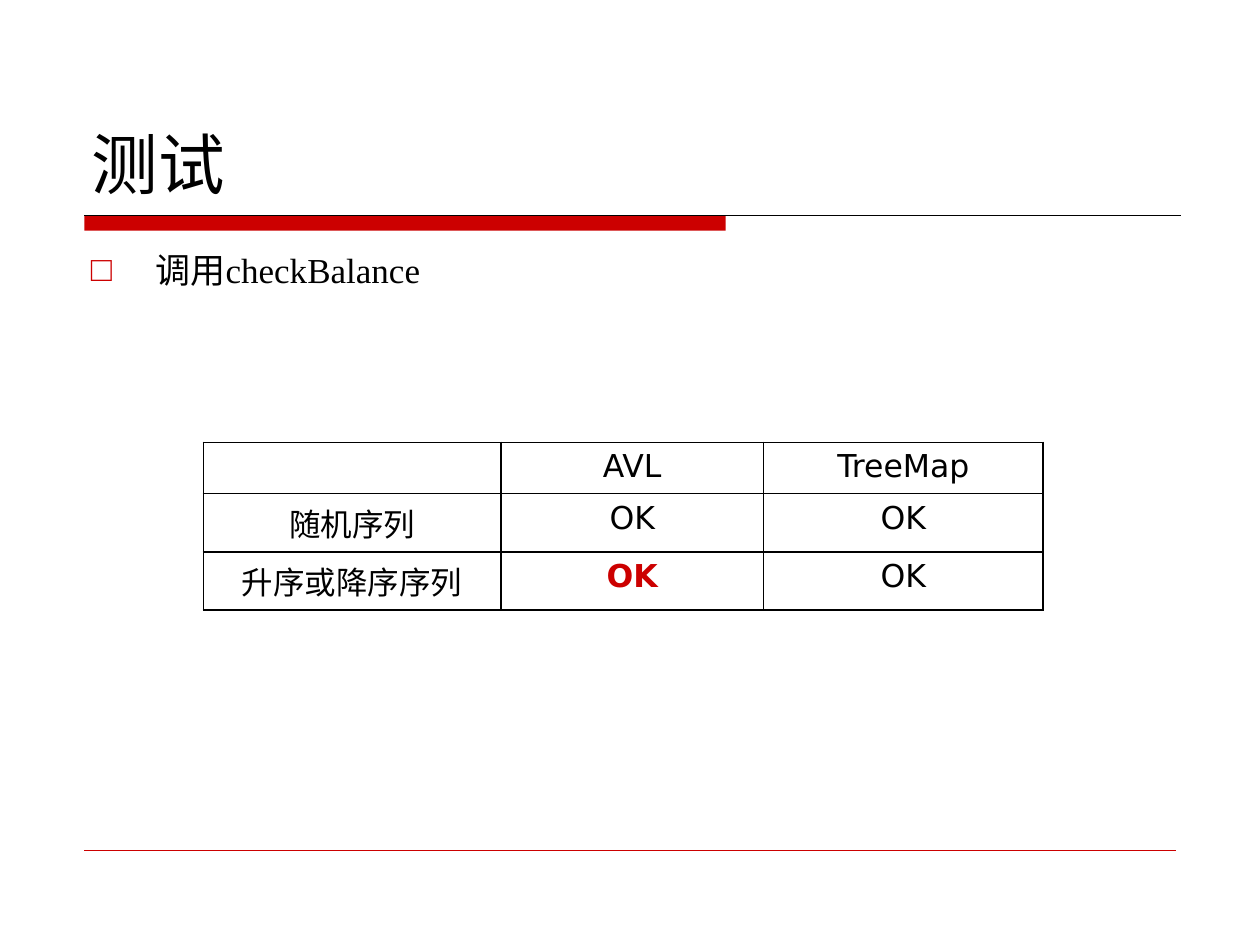
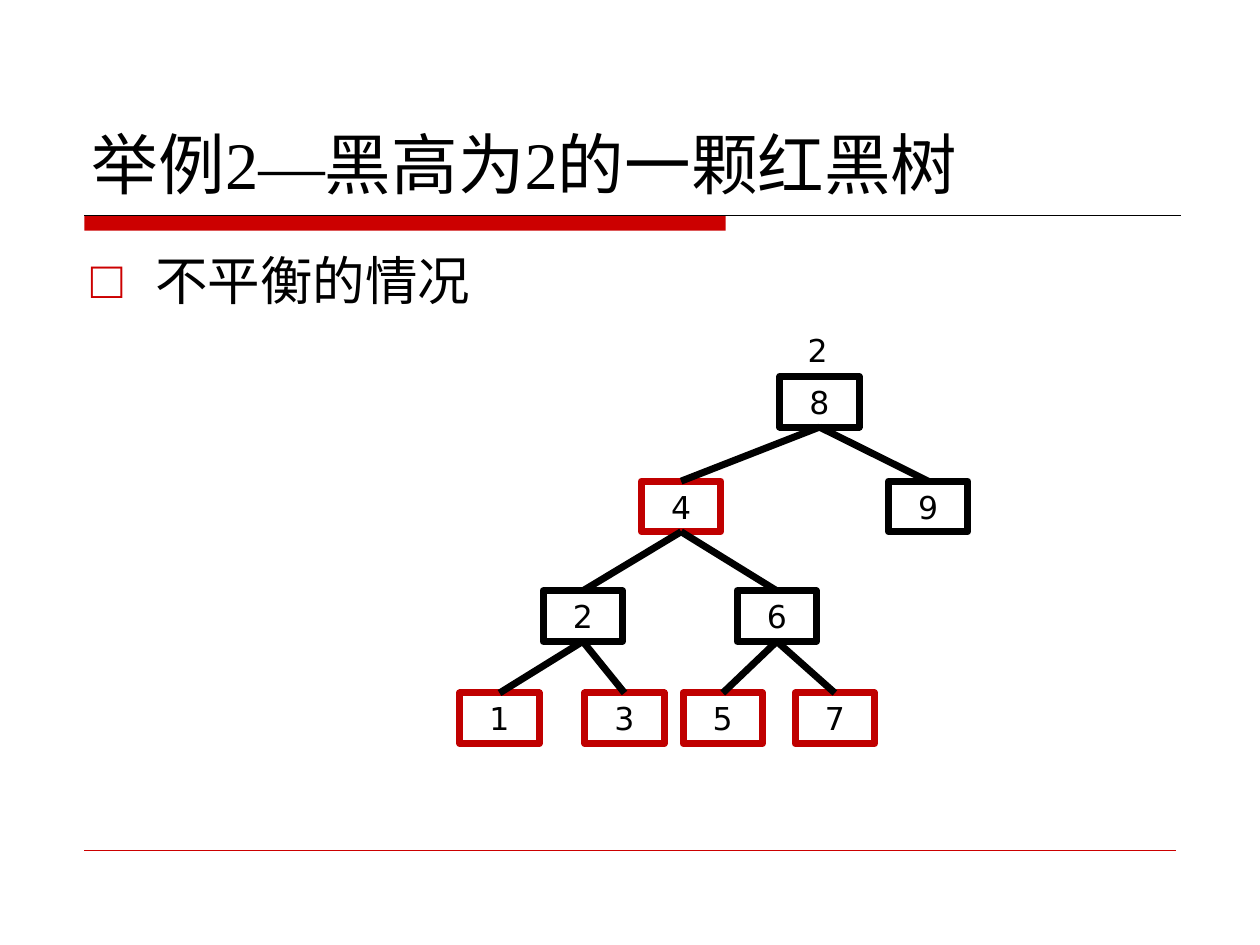
from lxml import etree
from pptx import Presentation
from pptx.dml.color import RGBColor
from pptx.enum.shapes import MSO_CONNECTOR, MSO_SHAPE
from pptx.enum.text import MSO_ANCHOR, PP_ALIGN
from pptx.oxml.ns import qn
from pptx.util import Cm, Pt

RED = RGBColor(0xCC, 0x00, 0x00)
NODE_RED = RGBColor(0xC0, 0x00, 0x00)
BLACK = RGBColor(0x00, 0x00, 0x00)
WHITE = RGBColor(0xFF, 0xFF, 0xFF)
SERIF = "Times New Roman"
SANS = "DejaVu Sans"
STRAIGHT = MSO_CONNECTOR.STRAIGHT
RECTANGLE = MSO_SHAPE.RECTANGLE
LEFT, CENTER = PP_ALIGN.LEFT, PP_ALIGN.CENTER
MIDDLE, BOTTOM = MSO_ANCHOR.MIDDLE, MSO_ANCHOR.BOTTOM
BOTTOM_SITE, TOP_SITE = 2, 0
MARGIN = 1.7
NODE_W, NODE_H = 1.6, 1.02


class Deck:
    def __init__(self):
        self.prs = Presentation()
        self.prs.slide_width = Cm(25.4)
        self.prs.slide_height = Cm(19.05)
        self.s = None

    def place(self, shape, x, y, w, h):
        shape.left, shape.top, shape.width, shape.height = Cm(x), Cm(y), Cm(w), Cm(h)

    def add_text(self, tf, text, size, font, align=LEFT, color=BLACK, bold=False):
        p = tf.paragraphs[0]
        p.alignment = align
        r = p.add_run()
        r.text = text
        r.font.size = Pt(size)
        r.font.name = font
        r.font.color.rgb = color
        r.font.bold = bold
        return p

    def line(self, x1, y1, x2, y2, color, width):
        connector = self.s.shapes.add_connector(STRAIGHT, Cm(x1), Cm(y1), Cm(x2), Cm(y2))
        connector.line.color.rgb = color
        connector.line.width = Pt(width)
        etree.SubElement(connector._element.spPr, qn("a:effectLst"))
        return connector

    def slide(self, title, bullet, bullet_size):
        self.s = self.prs.slides.add_slide(self.prs.slide_layouts[1])
        background = self.s.background.fill
        background.solid()
        background.fore_color.rgb = WHITE
        self.bands()
        self.title(title)
        self.bullet(bullet, bullet_size)

    def bands(self):
        bar = self.s.shapes.add_shape(RECTANGLE, Cm(MARGIN), Cm(4.34), Cm(12.93), Cm(0.31))
        bar.shadow.inherit = False
        bar.fill.solid()
        bar.fill.fore_color.rgb = RED
        bar.line.fill.background()
        self.line(MARGIN, 4.34, 23.8, 4.34, BLACK, 0.75)
        self.line(MARGIN, 17.14, 23.7, 17.14, RED, 0.25)

    def title(self, text):
        title = self.s.shapes.title
        self.place(title, 1.6, 0.84, 22.22, 3.38)
        title.text_frame.vertical_anchor = BOTTOM
        self.add_text(title.text_frame, text, 38, SERIF)

    def bullet(self, text, size):
        body = self.s.placeholders[1]
        self.place(body, 1.58, 4.88, 22.22, 11.86)
        pPr = self.add_text(body.text_frame, text, size, SERIF)._p.get_or_add_pPr()
        pPr.set("marL", str(Cm(1.3)))
        pPr.set("indent", str(-Cm(1.3)))
        color = etree.SubElement(pPr, qn("a:buClr"))
        etree.SubElement(color, qn("a:srgbClr"), val=str(RED))
        etree.SubElement(pPr, qn("a:buChar"), char="□")

    def border(self, cell):
        tcPr = cell._tc.get_or_add_tcPr()
        for i, side in enumerate(("lnL", "lnR", "lnT", "lnB")):
            ln = etree.Element(qn(f"a:{side}"), w=str(Pt(1)))
            fill = etree.SubElement(ln, qn("a:solidFill"))
            etree.SubElement(fill, qn("a:srgbClr"), val=str(BLACK))
            tcPr.insert(i, ln)

    def table(self, x, y, widths, heights, rows, highlight):
        frame = self.s.shapes.add_table(len(rows), len(widths), Cm(x), Cm(y),
                                        Cm(sum(widths)), Cm(sum(heights)))
        table = frame.table
        table.first_row = table.horz_banding = False
        for column, width in zip(table.columns, widths):
            column.width = Cm(width)
        for i, (row, height) in enumerate(zip(rows, heights)):
            table.rows[i].height = Cm(height)
            for j, text in enumerate(row):
                cell = table.cell(i, j)
                cell.fill.background()
                self.border(cell)
                marked = (i, j) == highlight
                if text:
                    self.add_text(cell.text_frame, text, 18, SANS, CENTER,
                                  RED if marked else BLACK, marked)

    def node(self, text, x, y, color):
        node = self.s.shapes.add_shape(RECTANGLE, Cm(x), Cm(y), Cm(NODE_W), Cm(NODE_H))
        node.shadow.inherit = False
        node.fill.background()
        node.line.color.rgb = color
        node.line.width = Pt(4)
        node.text_frame.vertical_anchor = MIDDLE
        self.add_text(node.text_frame, text, 18, SANS, CENTER)
        return node

    def edge(self, parent, child):
        edge = self.line(0, 0, 1, 1, BLACK, 4)
        edge.begin_connect(parent, BOTTOM_SITE)
        edge.end_connect(child, TOP_SITE)

    def label(self, text, x, y, w, h):
        box = self.s.shapes.add_textbox(Cm(x), Cm(y), Cm(w), Cm(h))
        box.text_frame.word_wrap = True
        self.add_text(box.text_frame, text, 18, SANS)


def test_slide(deck):
    deck.slide("测试", "调用checkBalance", 20)
    rows = [("", "AVL", "TreeMap"),
            ("随机序列", "OK", "OK"),
            ("升序或降序序列", "OK", "OK")]
    deck.table(4.1, 8.92, (6, 5.29, 5.64), (1, 1.17, 1.17), rows, highlight=(2, 1))


def tree_slide(deck):
    deck.slide("举例2—黑高为2的一颗红黑树", "不平衡的情况", 30)
    levels = [(7.59, BLACK, {"8": 15.72}),
              (9.7, NODE_RED, {"4": 12.93}),
              (9.7, BLACK, {"9": 17.91}),
              (11.91, BLACK, {"2": 10.95, "6": 14.86}),
              (13.97, NODE_RED, {"1": 9.27, "3": 11.79, "5": 13.77, "7": 16.03})]
    nodes = {key: deck.node(key, x, y, color)
             for y, color, keys in levels for key, x in keys.items()}
    children = {"8": "49", "4": "26", "2": "13", "6": "57"}
    for parent, pair in children.items():
        for child in pair:
            deck.edge(nodes[parent], nodes[child])
    deck.label("2", 16.03, 6.55, 0.89, 1.02)


def main():
    deck = Deck()
    test_slide(deck)
    tree_slide(deck)
    deck.prs.save("out.pptx")


if __name__ == "__main__":
    main()
